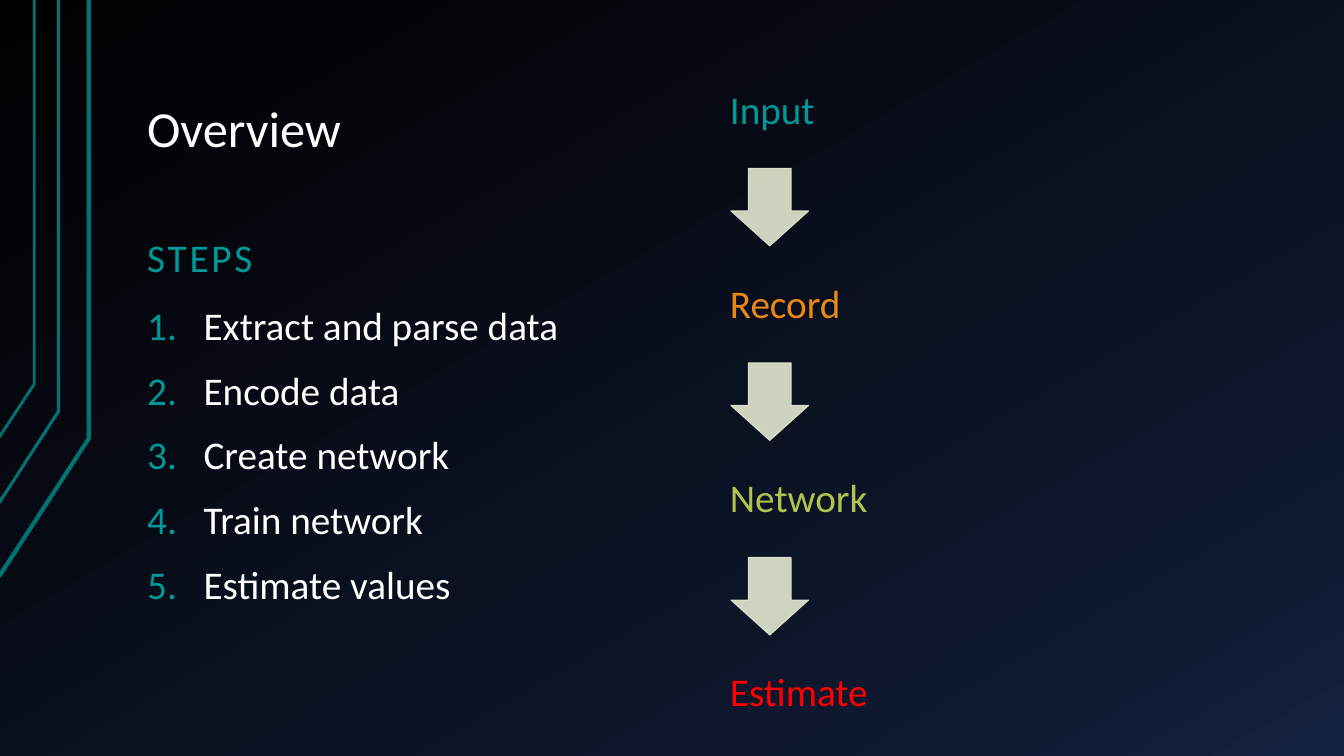
from copy import deepcopy

from pptx import Presentation
from pptx import util as u
from pptx.dml.color import RGBColor
from pptx.enum import shapes, text
from pptx.oxml import ns, xmlchemy

THEME = {
    "font": "Calibri", "title": 36, "body": 28,
    "white": "FFFFFF", "teal": "009999", "orange": "E98915",
    "green": "AFC34D", "red": "FF0000", "rail": "007373", "arrow": "E3E9D0",
    "background": [(0, "000000"), (0.85, "0F1931"), (1, "142242")],
}


def add_text(s, box, lines, size, anchor, gap=0):
    """Add a text box of (wording, colour) paragraphs and return them."""
    tf = s.shapes.add_textbox(*map(u.Inches, box)).text_frame
    frame = {"word_wrap": True, "vertical_anchor": anchor,
             "margin_left": u.Inches(0.13), "margin_right": u.Inches(0.13),
             "margin_top": u.Inches(0.07), "margin_bottom": u.Inches(0.07)}
    for name, value in frame.items():
        setattr(tf, name, value)
    for i, (words, colour) in enumerate(lines):
        p = tf.add_paragraph() if i else tf.paragraphs[0]
        p.line_spacing = 0.9
        p.space_before = u.Pt(gap if i else 0)
        r = p.add_run()
        r.text = words
        for name, value in {"name": THEME["font"], "size": u.Pt(size)}.items():
            setattr(r.font, name, value)
        r.font.color.rgb = RGBColor.from_string(THEME[colour])
    return tf.paragraphs


def add_child(parent, tag, **attrs):
    """Append an XML child with the given attributes and return it."""
    child = xmlchemy.OxmlElement(tag)
    for name, value in attrs.items():
        child.set(name, value)
    parent.append(child)
    return child


prs = Presentation()
prs.slide_width, prs.slide_height = u.Inches(13.33), u.Inches(7.5)
s = prs.slides.add_slide(prs.slide_layouts[6])

# Background gradient
fill = s.background.fill
fill.gradient()
fill.gradient_angle = 300
stops = next(s.element.iter(ns.qn("a:gsLst")))
stops.append(deepcopy(stops[-1]))
for stop, (position, colour) in zip(fill.gradient_stops, THEME["background"]):
    stop.position = position
    stop.color.rgb = RGBColor.from_string(colour)

# Bent rails on the left edge: x, bend height, foot height, line width
for x, bend, foot, width in [(0.88, 4.35, 5.72, 3),
                             (0.58, 4.08, 4.99, 2.25),
                             (0.34, 3.81, 4.34, 2)]:
    rail = s.shapes.build_freeform(u.Inches(-0.01), u.Inches(foot))
    rail.add_line_segments([(u.Inches(x), u.Inches(bend)), (u.Inches(x), 0)],
                           close=False)
    sp = rail.convert_to_shape()
    sp.shadow.inherit = False
    sp.fill.background()
    sp.line.color.rgb = RGBColor.from_string(THEME["rail"])
    sp.line.width = u.Pt(width)

# Title and list of steps
top, bottom = text.MSO_ANCHOR.TOP, text.MSO_ANCHOR.BOTTOM
add_text(s, (1.33, 0.3, 5.56, 1.34), [("Overview", "white")],
         THEME["title"], bottom)
heading = add_text(s, (1.33, 1.86, 5.56, 1), [("STEPS", "teal")],
                   THEME["body"], bottom)
heading[0].runs[0].font._element.set("spc", "200")

steps = ["Extract and parse data", "Encode data", "Create network",
         "Train network", "Estimate values"]
for p in add_text(s, (1.33, 2.97, 5.55, 3.78), [(step, "white") for step in steps],
                  THEME["body"], top, gap=16):
    pPr = p._p.get_or_add_pPr()
    pPr.set("marL", str(u.Inches(0.56)))
    pPr.set("indent", str(-u.Inches(0.56)))
    add_child(add_child(pPr, "a:buClr"), "a:srgbClr", val=THEME["teal"])
    add_child(pPr, "a:buFont", typeface="+mj-lt")
    add_child(pPr, "a:buAutoNum", type="arabicPeriod")

# Flow of stages with arrows between them
stages = [("Input", "teal"), ("Record", "orange"),
          ("Network", "green"), ("Estimate", "red")]
add_text(s, (7.11, 0.83, 5.55, 6.4), stages, THEME["body"], top, gap=108.4)

for i in range(len(stages) - 1):
    sp = s.shapes.add_shape(
        shapes.MSO_SHAPE.DOWN_ARROW, u.Inches(7.25), u.Inches(1.67 + 1.93 * i),
        u.Inches(0.77), u.Inches(0.77))
    sp.adjustments[0], sp.adjustments[1] = 0.55, 0.45
    sp.shadow.inherit = False
    sp.fill.solid()
    sp.line.width = u.Pt(0.75)
    for paint in (sp.fill.fore_color, sp.line.color):
        paint.rgb = RGBColor.from_string(THEME["arrow"])
    for colour in sp._element.spPr.iter(ns.qn("a:srgbClr")):
        add_child(colour, "a:alpha", val="90000")

prs.save("out.pptx")
